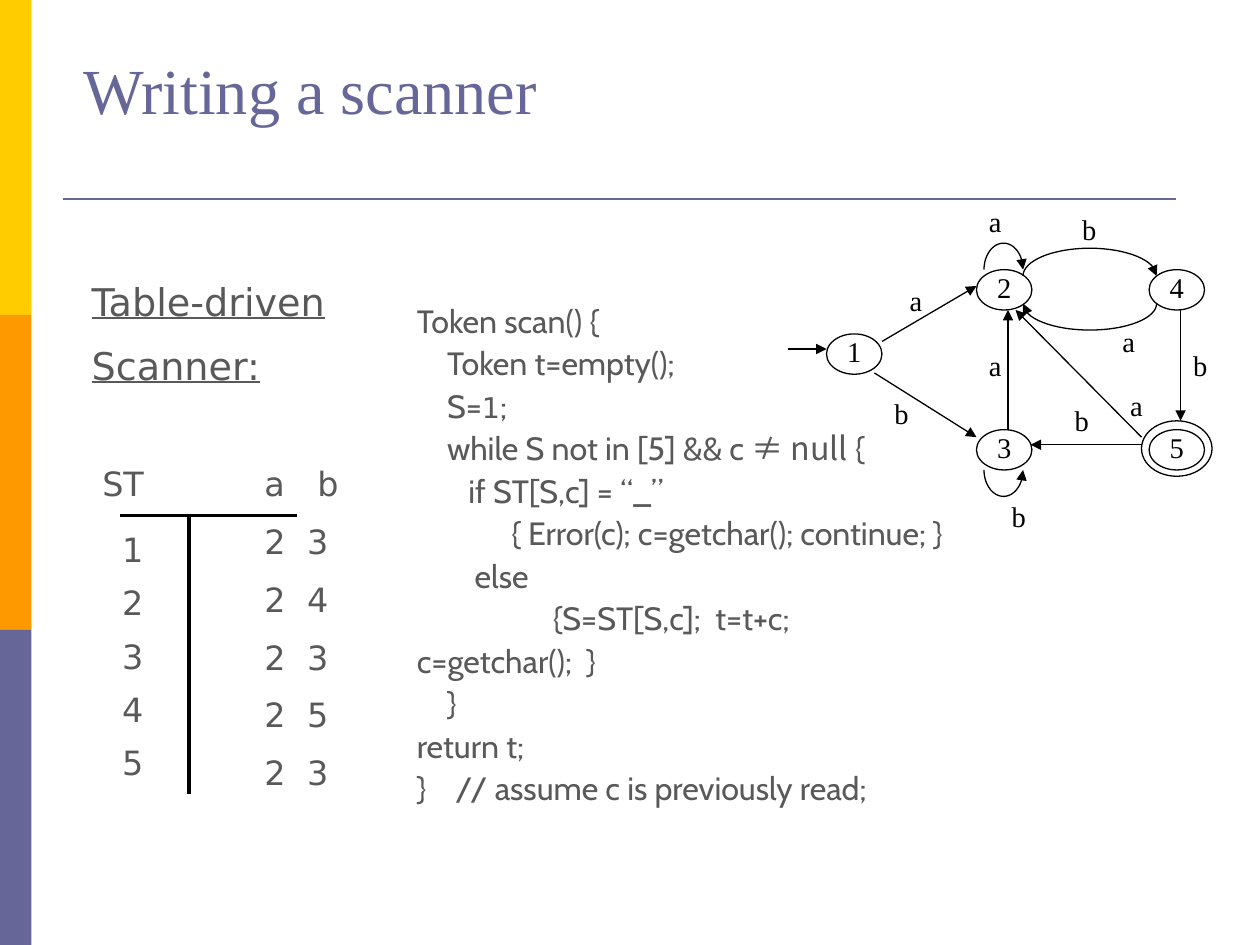
"""Build the slide on writing a table-driven scanner."""
import math

from lxml import etree
from pptx import Presentation
from pptx import util as u
from pptx.dml import color
from pptx.enum import shapes, text
from pptx.oxml import ns

Inches, Pt = u.Inches, u.Pt
PURPLE, BLACK, GREY = "666699", "000000", "595959"
SERIF, SANS, CODE = "Times New Roman", "DejaVu Sans", "Cabin"


def paint(target, value):
    """Give a fill, line or font a solid colour."""
    if hasattr(target, "solid"):
        target.solid()
        target = target.fore_color
    else:
        target = target.color
    target.rgb = color.RGBColor.from_string(value)


def style(paragraph, size, name, value):
    """Format every run of a paragraph."""
    for run in paragraph.runs:
        run.font.size, run.font.name = Pt(size), name
        paint(run.font, value)


presentation = Presentation()
presentation.slide_width, presentation.slide_height = Inches(10), Inches(7.5)
slide = presentation.slides.add_slide(presentation.slide_layouts[6])

for index, band in enumerate(["FFCC00", "FF9900", PURPLE]):
    shape = slide.shapes.add_shape(
        shapes.MSO_SHAPE.RECTANGLE, 0, Inches(2.5 * index), Inches(0.25), Inches(2.5))
    shape.shadow.inherit = False
    paint(shape.fill, band)
    shape.line.fill.background()

title = slide.shapes.add_textbox(Inches(0.66), Inches(0.07), Inches(7.47), Inches(0.94))
frame = title.text_frame
frame.word_wrap = True
frame.vertical_anchor = text.MSO_ANCHOR.BOTTOM
frame.margin_left = frame.margin_right = frame.margin_bottom = 0
frame.margin_top = Inches(0.03)
frame.text = "Writing a scanner"
style(frame.paragraphs[0], 36.7, SERIF, PURPLE)

states = [("1", 6.56, 2.65), ("2", 7.75, 2.14), ("3", 7.75, 3.41),
          ("4", 9.12, 2.14), ("5", 9.12, 3.41)]
ovals = [("", 9.06, 3.34, 0.56, 0.44)] + [state + (0.44, 0.32) for state in states]
for name, left, top, width, height in ovals:
    shape = slide.shapes.add_shape(
        shapes.MSO_SHAPE.OVAL, Inches(left), Inches(top), Inches(width), Inches(height))
    shape.shadow.inherit = False
    shape.fill.background()
    paint(shape.line, BLACK)
    shape.line.width = Pt(0.75)
    frame = shape.text_frame
    frame.word_wrap = False
    frame.margin_left = frame.margin_right = frame.margin_top = 0
    frame.margin_bottom = Inches(0.04)
    frame.vertical_anchor = text.MSO_ANCHOR.MIDDLE
    frame.text = name
    frame.paragraphs[0].alignment = text.PP_ALIGN.CENTER
    style(frame.paragraphs[0], 16.3, SERIF, BLACK)

rules = [(0.5, 1.58, 9.33, 1.58, PURPLE, 1.5), (0.95, 4.09, 2.36, 4.09, BLACK, 2),
         (1.5, 6.3, 1.5, 4.09, BLACK, 2)]
transitions = [(6.25, 2.77, 6.56, 2.77), (7, 2.71, 7.75, 2.27), (6.94, 2.96, 7.75, 3.47),
               (9.06, 3.53, 8.18, 3.53), (9.06, 3.47, 8.06, 2.46),
               (9.37, 2.46, 9.37, 3.34), (8, 3.41, 8, 2.46)]
arrows = []
for x1, y1, x2, y2, value, weight in rules + [t + (BLACK, 0.75) for t in transitions]:
    connector = slide.shapes.add_connector(
        shapes.MSO_CONNECTOR.STRAIGHT, Inches(x1), Inches(y1), Inches(x2), Inches(y2))
    paint(connector.line, value)
    connector.line.width = Pt(weight)
    etree.SubElement(connector._element.spPr, ns.qn("a:effectLst"))
    if weight == 0.75:
        arrows.append(connector)

arcs = [(7.81, 8.12, 2.14, -0.21), (7.81, 8.12, 3.73, 0.21),
        (8.12, 9.18, 2.19, -0.22), (9.18, 8.12, 2.41, 0.21)]
steps = 32
for start, end, base, depth in arcs:
    points = []
    for step in range(steps + 1):
        angle = math.pi * step / steps
        x = (start + end) / 2 - (end - start) / 2 * math.cos(angle)
        points.append((Inches(x), Inches(base + depth * math.sin(angle))))
    builder = slide.shapes.build_freeform(*points[0])
    builder.add_line_segments(points[1:], close=False)
    shape = builder.convert_to_shape()
    shape.shadow.inherit = False
    shape.fill.background()
    paint(shape.line, BLACK)
    shape.line.width = Pt(0.75)
    arrows.append(shape)

for arrow in arrows:
    etree.SubElement(arrow.line._get_or_add_ln(), ns.qn("a:tailEnd"), type="triangle")

labels = [("a", 7.75, 1.57), ("b", 8.49, 1.63), ("a", 7.12, 2.2), ("b", 7, 3.09),
          ("a", 7.75, 2.71), ("a", 8.81, 2.52), ("b", 9.37, 2.71), ("a", 8.87, 3.03),
          ("b", 8.43, 3.15), ("b", 7.93, 3.91)]
for letter, left, top in labels:
    label = slide.shapes.add_textbox(Inches(left), Inches(top), Inches(0.31), Inches(0.38))
    label.text_frame.text = letter
    style(label.text_frame.paragraphs[0], 16.3, SERIF, BLACK)

table_text = slide.shapes.add_textbox(Inches(0.63), Inches(2.15), Inches(2.17), Inches(3.91))
frame = table_text.text_frame
frame.word_wrap = True
frame.margin_top, frame.margin_right, frame.margin_bottom = Inches(0.02), 0, 0
rows = ["2\t3", "2\t4", "2\t3", "2\t5", "2\t3"]
frame.text = "\n".join(["Table-driven", "Scanner:", " ST\ta\tb"] + ["\t" + row for row in rows])
for index, paragraph in enumerate(frame.paragraphs):
    heading = index < 2
    paragraph.line_spacing = 1.1
    paragraph.space_before = Pt(41 if index == 2 else 7.8)
    style(paragraph, 21.8 if heading else 19.1, SANS, GREY)
    if heading:
        paragraph.runs[0].font.underline = True
        continue
    tabs = etree.SubElement(paragraph._p.get_or_add_pPr(), ns.qn("a:tabLst"))
    for stop in (1.37, 1.79 if index == 2 else 1.71):
        etree.SubElement(tabs, ns.qn("a:tab"), pos=str(Inches(stop)), algn="l")

state_column = slide.shapes.add_textbox(Inches(0.69), Inches(4.15), Inches(0.51), Inches(2.1))
state_column.text_frame.text = "\n".join(state[0] for state in states)
for paragraph in state_column.text_frame.paragraphs:
    paragraph.space_before = Pt(7.5)
    paragraph._p.get_or_add_pPr().set("marL", str(Inches(0.18)))
    style(paragraph, 19.1, SANS, GREY)

code = [(0, ["Token scan() {"]), (0.24, ["Token t=empty();"]), (0.24, ["S=", "1", ";"]),
        (0.24, ["while S not in [5] && c ", "≠ null ", "{"]),
        (0.41, ["if ST[S,c] = “_”"]),
        (0.75, ["{ Error(c); c=getchar(); continue; }"]), (0.46, ["else"]),
        (1.08, ["{S=ST[S,c];  t=t+c;\vc=getchar();  }"]), (0.24, ["}"]),
        (0, ["return t;"]), (0, ["}    // assume c is previously read;"])]
special_fonts = {"1": (SANS, 16.3), "≠ null ": ("Noto Sans CJK JP", 18.4)}
listing = slide.shapes.add_textbox(Inches(3.21), Inches(2.34), Inches(4.57), Inches(3.91))
frame = listing.text_frame
frame.word_wrap = True
frame.margin_top, frame.margin_right, frame.margin_bottom = Inches(0.02), 0, 0
frame.text = "\n".join(pieces[0] for _, pieces in code)
for paragraph, (indent, pieces) in zip(frame.paragraphs, code):
    for piece in pieces[1:]:
        paragraph.add_run().text = piece
    paragraph.line_spacing = 1.1
    paragraph._p.get_or_add_pPr().set("indent", str(Inches(indent)))
    style(paragraph, 18.4, CODE, GREY)
    for run in paragraph.runs:
        if run.text in special_fonts:
            run.font.name, size = special_fonts[run.text]
            run.font.size = Pt(size)

presentation.save("out.pptx")
